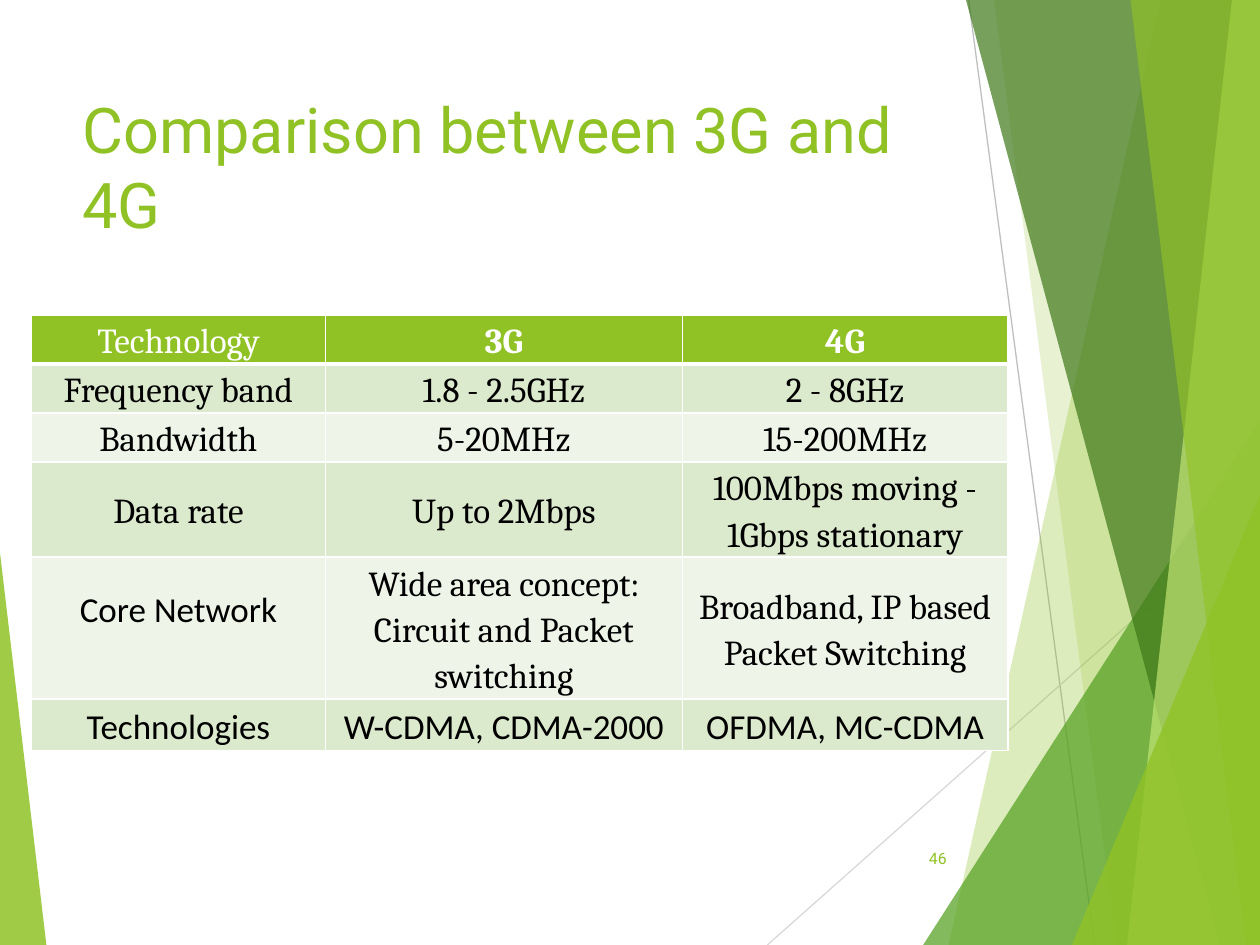
from dataclasses import dataclass

from lxml import etree
from pptx import Presentation
from pptx.dml.color import RGBColor
from pptx.enum.shapes import MSO_CONNECTOR, MSO_SHAPE
from pptx.enum.text import MSO_ANCHOR, MSO_AUTO_SIZE, PP_ALIGN
from pptx.oxml.ns import qn
from pptx.util import Pt

STRAIGHT = MSO_CONNECTOR.STRAIGHT
TRIANGLE = MSO_SHAPE.ISOSCELES_TRIANGLE
TOP, MIDDLE = MSO_ANCHOR.TOP, MSO_ANCHOR.MIDDLE
LEFT, CENTER, RIGHT = PP_ALIGN.LEFT, PP_ALIGN.CENTER, PP_ALIGN.RIGHT
NO_AUTOFIT = MSO_AUTO_SIZE.NONE
TITLE_ONLY = 5


@dataclass(frozen=True)
class Theme:
    accent: str = "90C226"
    leaf: str = "54A021"
    forest: str = "3F7819"
    lime: str = "C0E474"
    dark_rule: str = "BFBFBF"
    light_rule: str = "D9D9D9"
    white: str = "FFFFFF"
    black: str = "000000"
    odd_band: str = "DBE9CD"
    even_band: str = "EEF4E8"
    heading_font: str = "Roboto"
    serif_font: str = "Cambria"
    sans_font: str = "Calibri"
    title_size: int = 36
    table_size: int = 20
    number_size: int = 9


THEME = Theme()

ROWS = [
    ("Technology", "3G", "4G"),
    ("Frequency band", "1.8 - 2.5GHz", "2 - 8GHz"),
    ("Bandwidth", "5-20MHz", "15-200MHz"),
    ("Data rate", "Up to 2Mbps", "100Mbps moving - 1Gbps stationary"),
    ("Core Network", "Wide area concept: Circuit and Packet switching",
     "Broadband, IP based Packet Switching"),
    ("Technologies", "W-CDMA, CDMA-2000", "OFDMA, MC-CDMA"),
]
COLUMN_WIDTHS = (168, 204, 186)
ROW_HEIGHTS = (19.5, 19.5, 19.5, 37.5, 19.5, 19.5)


def color(code):
    return RGBColor.from_string(code)


def format_text(frame, font, size, code, align, bold=False):
    for para in frame.paragraphs:
        para.alignment = align
        for span in para.runs:
            span.font.name = font
            span.font.size = Pt(size)
            span.font.bold = bold
            span.font.color.rgb = color(code)


def paint(shape, code, opacity):
    shape.shadow.inherit = False
    shape.line.fill.background()
    shape.fill.solid()
    shape.fill.fore_color.rgb = color(code)
    tint = shape.fill._xPr.find(qn("a:solidFill"))[0]
    etree.SubElement(tint, qn("a:alpha")).set("val", str(opacity * 1000))


def add_rule(page, start, end, code):
    rule = page.shapes.add_connector(STRAIGHT, *map(Pt, start + end))
    rule.line.color.rgb = color(code)
    rule.line.width = Pt(0.75)
    etree.SubElement(rule._element.spPr, qn("a:effectLst"))


def add_facet(page, box, top_left, bottom_left, code, opacity):
    left, top, width, height = box
    right, bottom = left + width, top + height
    builder = page.shapes.build_freeform(left + top_left, top, scale=Pt(1))
    builder.add_line_segments(
        [(right, top), (right, bottom), (left + bottom_left, bottom)], close=True)
    paint(builder.convert_to_shape(), code, opacity)


def add_corner(page, box, apex, code, opacity):
    corner = page.shapes.add_shape(TRIANGLE, *map(Pt, box))
    corner.adjustments[0] = apex
    paint(corner, code, opacity)


def add_backdrop(page, box):
    left, top, width, height = box
    right, bottom = left + width, top + height

    def corner_at_right(wide, tall, code, opacity):
        add_corner(page, (right - wide, bottom - tall, wide, tall), 1, code, opacity)

    def facet(top_left, bottom_left, code, opacity):
        add_facet(page, box, top_left, bottom_left, code, opacity)

    add_rule(page, (left + 553.5, top), (left + 625.5, bottom), THEME.dark_rule)
    add_rule(page, (right, top + 290), (left + 438.5, bottom), THEME.light_rule)
    facet(663, 542, THEME.accent, 30)
    facet(567.5, 638.5, THEME.accent, 20)
    corner_at_right(192.5, 300, THEME.leaf, 72)
    facet(551.5, 697, THEME.forest, 70)
    facet(704, 643.5, THEME.lime, 70)
    facet(646, 711.5, THEME.accent, 65)
    corner_at_right(107.5, 257, THEME.accent, 80)
    add_corner(page, (left, bottom - 224, 26.5, 224), 0, THEME.accent, 85)


def place_title(page, box, text):
    title = page.shapes.title
    title.left, title.top, title.width, title.height = map(Pt, box)
    frame = title.text_frame
    frame.text = text
    frame.word_wrap = True
    frame.auto_size = NO_AUTOFIT
    frame.vertical_anchor = TOP
    format_text(frame, THEME.heading_font, THEME.title_size, THEME.accent, LEFT)


def add_page_number(page, box, text):
    frame = page.shapes.add_textbox(*map(Pt, box)).text_frame
    frame.text = text
    frame.word_wrap = True
    frame.vertical_anchor = MIDDLE
    format_text(frame, THEME.heading_font, THEME.number_size, THEME.accent, RIGHT)


def set_borders(cell, bottom_width):
    properties = cell._tc.get_or_add_tcPr()
    widths = {"lnL": 1, "lnR": 1, "lnT": 1, "lnB": bottom_width}
    for index, (side, width) in enumerate(widths.items()):
        line = etree.Element(qn(f"a:{side}"), w=str(Pt(width)))
        solid = etree.SubElement(line, qn("a:solidFill"))
        etree.SubElement(solid, qn("a:srgbClr")).set("val", THEME.white)
        properties.insert(index, line)


def fill_cell(cell, text, row, column):
    header = row == 0
    sans = text == "Core Network" or row == len(ROWS) - 1
    band = THEME.odd_band if row % 2 else THEME.even_band
    cell.fill.solid()
    cell.fill.fore_color.rgb = color(THEME.accent if header else band)
    cell.vertical_anchor = MIDDLE
    cell.margin_left = cell.margin_right = cell.margin_top = Pt(0.75)
    cell.margin_bottom = Pt(24 if text == "Core Network" else 0.75)
    frame = cell.text_frame
    frame.text = text
    frame.paragraphs[0].line_spacing = 1.15
    format_text(frame, THEME.sans_font if sans else THEME.serif_font,
                THEME.table_size, THEME.white if header else THEME.black,
                CENTER, bold=header and column > 0)
    set_borders(cell, 3 if header else 1)


def add_comparison(page, box):
    table = page.shapes.add_table(
        len(ROWS), len(COLUMN_WIDTHS), *map(Pt, box)).table
    for column, width in zip(table.columns, COLUMN_WIDTHS):
        column.width = Pt(width)
    for row, height in zip(table.rows, ROW_HEIGHTS):
        row.height = Pt(height)
    for row, texts in enumerate(ROWS):
        for column, text in enumerate(texts):
            fill_cell(table.cell(row, column), text, row, column)


def main():
    deck = Presentation()
    deck.slide_width, deck.slide_height = Pt(720), Pt(540)
    page = deck.slides.add_slide(deck.slide_layouts[TITLE_ONLY])
    add_backdrop(page, (0, 0, 720, 540))
    add_comparison(page, (18, 180, 558, 258))
    place_title(page, (40, 48, 530, 66), "Comparison between 3G and 4G")
    add_page_number(page, (507.5, 476, 40.5, 29), "46")
    deck.save("out.pptx")


if __name__ == "__main__":
    main()
